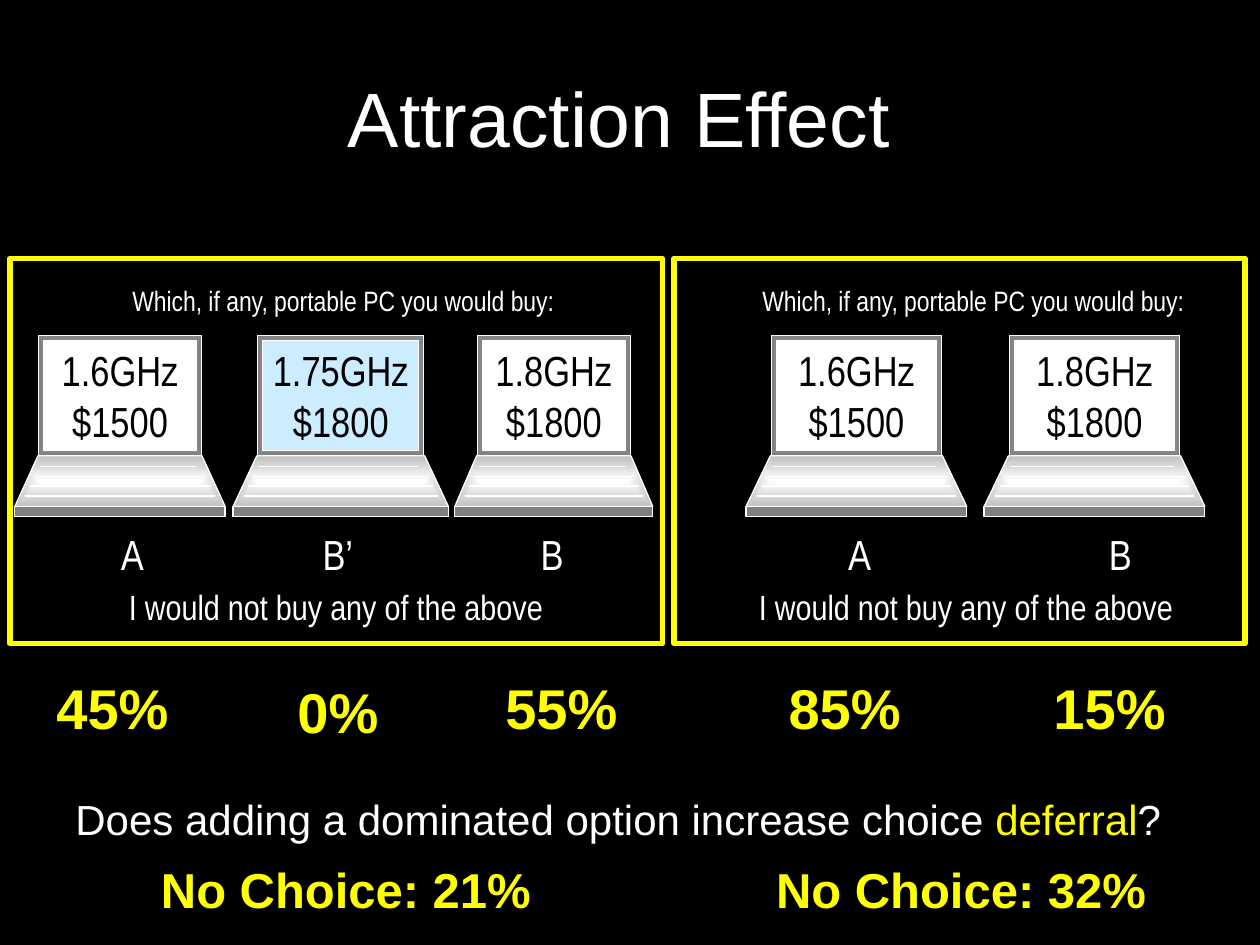
from dataclasses import dataclass

from lxml import etree
from pptx import Presentation
from pptx.dml.color import RGBColor
from pptx.enum import shapes, text
from pptx.oxml.ns import qn
from pptx.util import Cm, Pt


@dataclass(frozen=True)
class Theme:
    black: str = "000000"
    white: str = "FFFFFF"
    yellow: str = "FFFF00"
    silver: str = "C0C0C0"
    gray: str = "808080"
    pale_blue: str = "CCECFF"
    sans: str = "Arial"
    narrow: str = "Arial Narrow"
    title: int = 44
    share: int = 32
    result: int = 28
    body: int = 24
    decline: int = 20
    prompt: int = 16
    hairline: float = 0.75
    frame: float = 3


T = Theme()
A = text.PP_ALIGN
MIDDLE = text.MSO_ANCHOR.MIDDLE
RECT = shapes.MSO_SHAPE.RECTANGLE
PROMPT = "Which, if any, portable PC you would buy:"
DECLINE = "I would not buy any of the above"


def rgb(value):
    return RGBColor.from_string(value)


def style_runs(p, size, font, color, bold=False):
    formats = {"size": Pt(size), "name": font, "bold": bold}
    for r in p.runs:
        for name, value in formats.items():
            setattr(r.font, name, value)
        r.font.color.rgb = rgb(color)


def add_text(s, box, words, size, font, color, align=A.RIGHT, wrap=False, bold=False):
    tf = s.shapes.add_textbox(*map(Cm, box)).text_frame
    tf.word_wrap = wrap
    p = tf.paragraphs[0]
    p.text, p.alignment = words, align
    style_runs(p, size, font, color, bold)
    return tf


def paint(sp, fill, line=T.white, width=T.hairline):
    sp.shadow.inherit = False
    sp.line.color.rgb = rgb(line)
    sp.line.width = Pt(width)
    if fill is None:
        sp.fill.background()
    elif isinstance(fill, str):
        sp.fill.solid()
        sp.fill.fore_color.rgb = rgb(fill)
    else:
        sp.fill.gradient()
        for stop, color in zip(sp.fill.gradient_stops, fill):
            stop.color.rgb = rgb(color)
        grad = sp._element.spPr.find(qn("a:gradFill"))
        grad.remove(grad.find(qn("a:lin")))
        focus = etree.SubElement(grad, qn("a:path"), path="shape")
        center = dict.fromkeys("ltrb", "50000")
        etree.SubElement(focus, qn("a:fillToRect"), center)


def add_rect(s, box, fill, **line):
    sp = s.shapes.add_shape(RECT, *map(Cm, box))
    paint(sp, fill, **line)
    return sp


def add_laptop(s, x, y, w, words, screen_color):
    deck_y, front_y = y + 2.43, y + 3.45
    inset = 0.11 * w
    corners = [(x + inset, deck_y), (x + w - inset, deck_y), (x + w, front_y), (x, front_y)]
    points = [(Cm(px), Cm(py)) for px, py in corners]
    outline = s.shapes.build_freeform(*points[0])
    outline.add_line_segments(points[1:], close=True)
    paint(outline.convert_to_shape(), (T.white, T.silver))

    for row, (left, right) in enumerate([(0.12, 0.14), (0.09, 0.09), (0.07, 0.07), (0.05, 0.05)]):
        row_y = deck_y + 0.21 + 0.2 * row
        ends = x + left * w, row_y, x + w - right * w, row_y
        key_row = s.shapes.add_connector(shapes.MSO_CONNECTOR.STRAIGHT, *map(Cm, ends))
        key_row.line.color.rgb = rgb(T.white)
        key_row.line.width = Pt(T.hairline)
        etree.SubElement(key_row._element.spPr, qn("a:effectLst"))

    lid_x, lid_w, bezel = x + 0.114 * w, 0.772 * w, 0.1
    add_rect(s, (lid_x, y, lid_w, 2.42), (T.white, T.gray))
    add_rect(s, (x, front_y, w, 0.21), T.gray)
    screen = (lid_x + bezel, y + bezel, lid_w - 2 * bezel, 2.42 - 2 * bezel)
    tf = add_rect(s, screen, screen_color).text_frame
    tf.word_wrap, tf.vertical_anchor = False, MIDDLE
    p = tf.paragraphs[0]
    p.text, p.alignment = words, A.CENTER
    style_runs(p, T.body, T.narrow, T.black)


def add_panel(s, box, prompt_x, decline_x, result_x, result, options):
    x, y, w, h = box
    add_rect(s, box, None, line=T.yellow, width=T.frame)
    add_text(s, (x + prompt_x, y + 0.38, 9.09, 0.94), PROMPT, T.prompt, T.narrow, T.white)
    add_text(s, (x + decline_x, y + 6.47, 9.5, 1.09), DECLINE, T.decline, T.narrow, T.white)
    for o in options:
        laptop_x, laptop_w = o["laptop"]
        label_x, label_w = o["label"]
        share_x, share_y, share_w = o["share"]
        add_laptop(s, x + laptop_x, y + 1.55, laptop_w, o["offer"], o.get("screen", T.white))
        add_text(s, (x + label_x, y + 5.31, label_w, 1.27), o["name"], T.body, T.narrow, T.white)
        add_text(s, (x + share_x, y + share_y, share_w, 1.63), o["percent"],
                 T.share, T.sans, T.yellow, bold=True)
    add_text(s, (x + result_x, y + 11.99, 7.98, 1.45), result,
             T.result, T.sans, T.yellow, bold=True)


def add_question(s, box):
    tf = add_text(s, box, "Does adding a dominated option increase choice ",
                  T.body, T.sans, T.white, A.LEFT, True)
    p = tf.paragraphs[0]
    for words in ("deferral", "?"):
        p.add_run().text = words
    style_runs(p, T.body, T.sans, T.white)
    p.runs[1].font.color.rgb = rgb(T.yellow)


def main():
    prs = Presentation()
    prs.slide_width, prs.slide_height = Cm(25.4), Cm(19.05)
    s = prs.slides.add_slide(prs.slide_layouts[6])
    s.background.fill.solid()
    s.background.fill.fore_color.rgb = rgb(T.black)

    title = add_text(s, (0.84, 0.76, 23.29, 3.18), "Attraction Effect",
                     T.title, T.sans, T.white, A.CENTER, True)
    title.vertical_anchor = MIDDLE
    add_panel(s, (0.2, 5.21, 13.16, 7.77), 2.14, 1.5, 2.77, "No Choice: 21%", [
        dict(name="A", offer="1.6GHz\n$1500", percent="45%",
             laptop=(0.1, 4.24), label=(1.98, 0.97), share=(0.66, 8.25, 2.79)),
        dict(name="B’", offer="1.75GHz\n$1800", percent="0%", screen=T.pale_blue,
             laptop=(4.5, 4.34), label=(6.05, 1.12), share=(5.52, 8.33, 2.16)),
        dict(name="B", offer="1.8GHz\n$1800", percent="55%",
             laptop=(8.97, 3.99), label=(10.29, 1.12), share=(9.71, 8.25, 2.79)),
    ])
    add_panel(s, (13.59, 5.21, 11.51, 7.77), 1.45, 0.81, 1.78, "No Choice: 32%", [
        dict(name="A", offer="1.6GHz\n$1500", percent="85%",
             laptop=(1.45, 4.45), label=(3.25, 0.97), share=(2.03, 8.25, 2.79)),
        dict(name="B", offer="1.8GHz\n$1800", percent="15%",
             laptop=(6.25, 4.45), label=(8.36, 1.12), share=(7.37, 8.25, 2.79)),
    ])
    add_question(s, (1.27, 15.88, 23.29, 1.27))
    prs.save("out.pptx")


if __name__ == "__main__":
    main()
